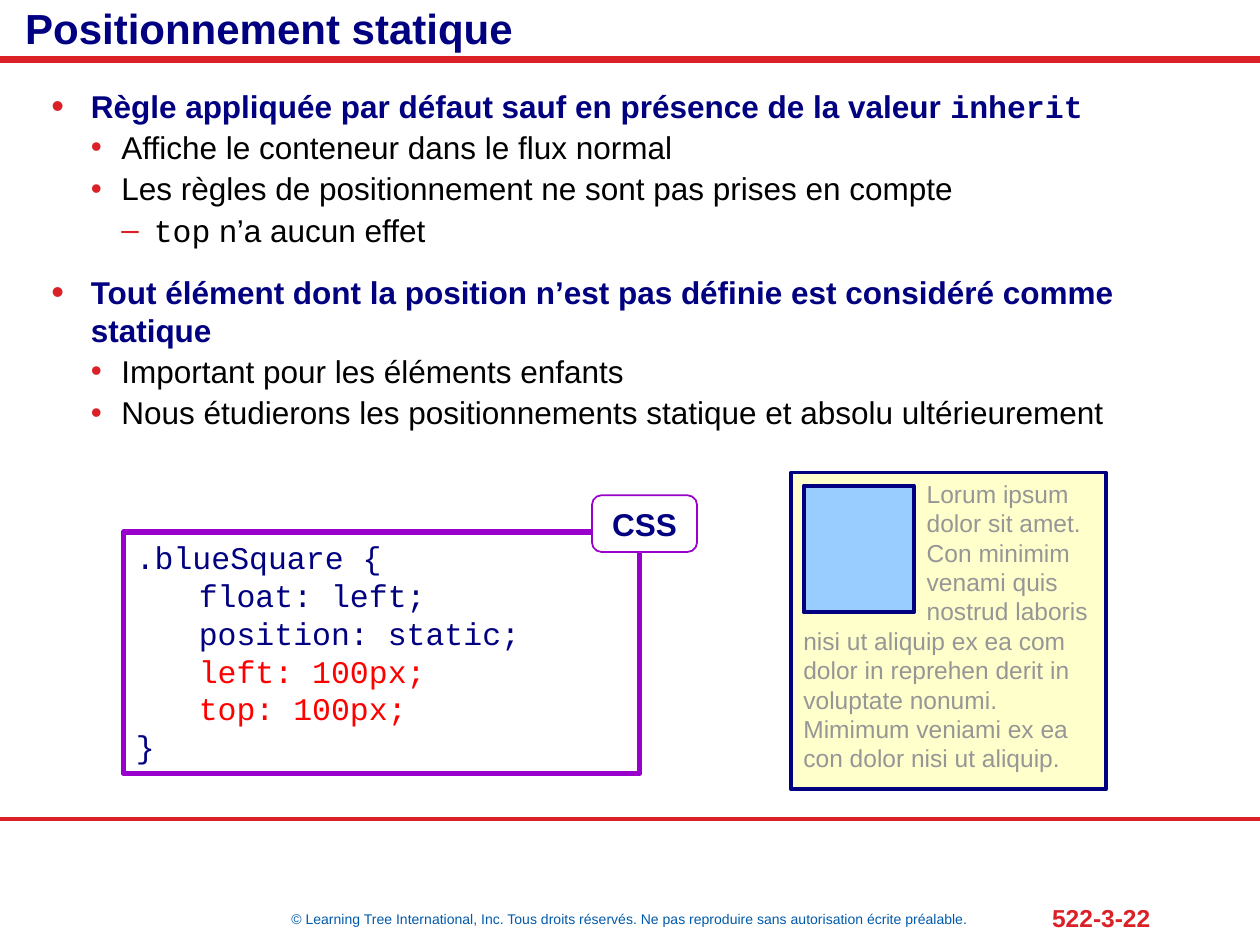
import pptx
import pptx.dml.color
import pptx.enum.shapes
import pptx.enum.text
import pptx.oxml
import pptx.oxml.ns
import pptx.util

Pt = pptx.util.Pt
RGBColor = pptx.dml.color.RGBColor
ALIGN = pptx.enum.text.PP_ALIGN
ANCHOR = pptx.enum.text.MSO_ANCHOR
SHAPE = pptx.enum.shapes.MSO_SHAPE

NAVY = RGBColor(0x00, 0x00, 0x80)
RED = RGBColor(0xDA, 0x21, 0x28)
CODE_RED = RGBColor(0xFF, 0x00, 0x00)
BLUE = RGBColor(0x00, 0x5A, 0xAB)
PURPLE = RGBColor(0x99, 0x00, 0xCC)
CREAM = RGBColor(0xFF, 0xFF, 0xCC)
SKY = RGBColor(0x99, 0xCC, 0xFF)
GREY = RGBColor(0x96, 0x96, 0x96)
BLACK = RGBColor(0, 0, 0)
WHITE = RGBColor(0xFF, 0xFF, 0xFF)

SANS, MONO = "Arial", "Courier New"
WIDTH, HEIGHT = 720, 540

# Level: left margin, hanging indent, space before, bullet, bullet size, colour, bold
LEVELS = [
    (22.5, 22.5, 14, "•", 115, NAVY, True),
    (40, 17.5, 2, "•", 100, BLACK, False),
    (58.5, 18.5, 2, "–", 100, BLACK, False),
]
POINTS = [
    (0, [("Règle appliquée par défaut sauf en présence de la valeur ", SANS), ("inherit", MONO)]),
    (1, [("Affiche le conteneur dans le flux normal", SANS)]),
    (1, [("Les règles de positionnement ne sont pas prises en compte", SANS)]),
    (2, [("top", MONO), (" n’a aucun effet", SANS)]),
    (0, [("Tout élément dont la position n’est pas définie est considéré comme statique", SANS)]),
    (1, [("Important pour les éléments enfants", SANS)]),
    (1, [("Nous étudierons les positionnements statique et absolu ultérieurement", SANS)]),
]
CODE = [
    (".blueSquare {", NAVY),
    ("\tfloat: left;", NAVY),
    ("\tposition: static;", NAVY),
    ("\tleft: 100px;", CODE_RED),
    ("\ttop: 100px;", CODE_RED),
    ("}", NAVY),
]
LOREM = [
    "\tLorum ipsum",
    "\tdolor sit amet.",
    "\tCon minimim",
    "\tvenami quis",
    "\tnostrud laboris nisi ut aliquip ex ea com dolor in reprehen derit in "
    "voluptate nonumi. Mimimum veniami ex ea con dolor nisi ut aliquip.",
]


def points(box):
    return [Pt(length) for length in box]


def add_run(paragraph, text, size, color, font=SANS, bold=False):
    run = paragraph.add_run()
    run.text = text
    run.font.name, run.font.size, run.font.bold = font, Pt(size), bold
    run.font.color.rgb = color


def append_property(paragraph, xml):
    """Append a drawing element, given without its prefix, to the paragraph properties."""
    namespace = pptx.oxml.ns.nsdecls("a")
    tag, rest = xml.split(" ", 1)
    element = pptx.oxml.parse_xml(f"<a:{tag} {namespace} {rest}")
    paragraph._p.get_or_add_pPr().append(element)


def add_text_frame(slide, box):
    frame = slide.shapes.add_textbox(*points(box)).text_frame
    frame.word_wrap = True
    return frame


def add_panel(slide, kind, box, fill, outline, weight):
    panel = slide.shapes.add_shape(kind, *points(box))
    panel.shadow.inherit = False
    panel.fill.solid()
    panel.fill.fore_color.rgb = fill
    panel.line.color.rgb = outline
    panel.line.width = Pt(weight)
    frame = panel.text_frame
    frame.word_wrap = True
    frame.vertical_anchor = ANCHOR.TOP
    frame.paragraphs[0].alignment = ALIGN.LEFT
    return panel


def add_rule(slide, y, weight):
    rule = slide.shapes.add_connector(
        pptx.enum.shapes.MSO_CONNECTOR.STRAIGHT, *points((0, y, WIDTH, y)))
    rule.line.color.rgb = RED
    rule.line.width = Pt(weight)
    rule._element.spPr.append(
        pptx.oxml.parse_xml(f"<a:effectLst {pptx.oxml.ns.nsdecls('a')}/>"))


def place_title(slide, box):
    title = slide.shapes.title
    title.left, title.top, title.width, title.height = points(box)
    frame = title.text_frame
    frame.auto_size = pptx.enum.text.MSO_AUTO_SIZE.NONE
    frame.vertical_anchor = ANCHOR.MIDDLE
    frame.margin_left, frame.margin_right = Pt(14.4), Pt(7.2)
    frame.margin_top = frame.margin_bottom = 0
    heading = frame.paragraphs[0]
    heading.alignment = ALIGN.LEFT
    add_run(heading, "Positionnement statique", 24, NAVY, bold=True)


def place_points(slide, box):
    frame = add_text_frame(slide, box)
    for index, (level, runs) in enumerate(POINTS):
        margin, hanging, before, bullet, bullet_size, color, bold = LEVELS[level]
        point = frame.paragraphs[0] if index == 0 else frame.add_paragraph()
        point.level = level
        properties = point._p.get_or_add_pPr()
        properties.set("marL", str(Pt(margin)))
        properties.set("indent", str(-Pt(hanging)))
        append_property(point, f'buClr ><a:srgbClr val="{RED}"/></a:buClr>')
        append_property(point, f'buSzPct val="{bullet_size * 1000}"/>')
        append_property(point, f'buFont typeface="{SANS}"/>')
        append_property(point, f'buChar char="{bullet}"/>')
        if index:
            point.space_before = Pt(before)
        for text, font in runs:
            add_run(point, text, 18, color, font, bold)


def place_code(slide, box):
    left, top, width, _ = box
    frame = add_panel(slide, SHAPE.RECTANGLE, box, WHITE, PURPLE, 3).text_frame
    for index, (text, color) in enumerate(CODE):
        line = frame.paragraphs[0] if index == 0 else frame.add_paragraph()
        line.alignment = ALIGN.LEFT
        add_run(line, text, 18, color, MONO)

    label_box = (left + width - 27.2, top - 21, 60, 32.4)
    label = add_panel(slide, SHAPE.ROUNDED_RECTANGLE, label_box, WHITE, PURPLE, 1).text_frame
    label.vertical_anchor = ANCHOR.MIDDLE
    label.paragraphs[0].alignment = ALIGN.CENTER
    add_run(label.paragraphs[0], "CSS", 18, NAVY, bold=True)


def place_page_preview(slide, box):
    left, top, _, _ = box
    page = add_panel(slide, SHAPE.RECTANGLE, box, CREAM, NAVY, 2.25)
    lorem = page.text_frame.paragraphs[0]
    append_property(lorem, f'tabLst ><a:tab pos="{Pt(70.5)}" algn="l"/>'
                           f'<a:tab pos="{Pt(85)}" algn="l"/></a:tabLst>')
    for index, text in enumerate(LOREM):
        if index:
            lorem.add_line_break()
        add_run(lorem, text, 14, GREY)
    add_panel(slide, SHAPE.RECTANGLE, (left + 7.2, top + 7.5, 63, 72.5), SKY, NAVY, 2.25)


def place_footer(slide, box):
    left, top, width, height = box
    notice = add_text_frame(slide, (left, top + 5, width, 17)).paragraphs[0]
    notice.alignment = ALIGN.CENTER
    add_run(notice, "© Learning Tree International, Inc. Tous droits réservés. "
                    "Ne pas reproduire sans autorisation écrite préalable.", 8, BLUE)

    frame = add_text_frame(slide, (left + 565, top, 99.5, height))
    frame.margin_left = 0
    frame.vertical_anchor = ANCHOR.MIDDLE
    page_number = frame.paragraphs[0]
    page_number.alignment = ALIGN.RIGHT
    add_run(page_number, "522-3-22", 14, RED, bold=True)


def main():
    deck = pptx.Presentation()
    deck.slide_width, deck.slide_height = Pt(WIDTH), Pt(HEIGHT)
    slide = deck.slides.add_slide(deck.slide_layouts.get_by_name("Title Only"))
    place_footer(slide, (0, 512, WIDTH, 24.5))
    add_rule(slide, 34, 4)
    add_rule(slide, 468, 2)
    place_points(slide, (22.3, 46, 677, 206))
    place_title(slide, (0, 0, WIDTH, 32))
    place_page_preview(slide, (452, 270, 180, 181))
    place_code(slide, (70.5, 304, 295, 138))
    deck.save("out.pptx")


if __name__ == "__main__":
    main()
